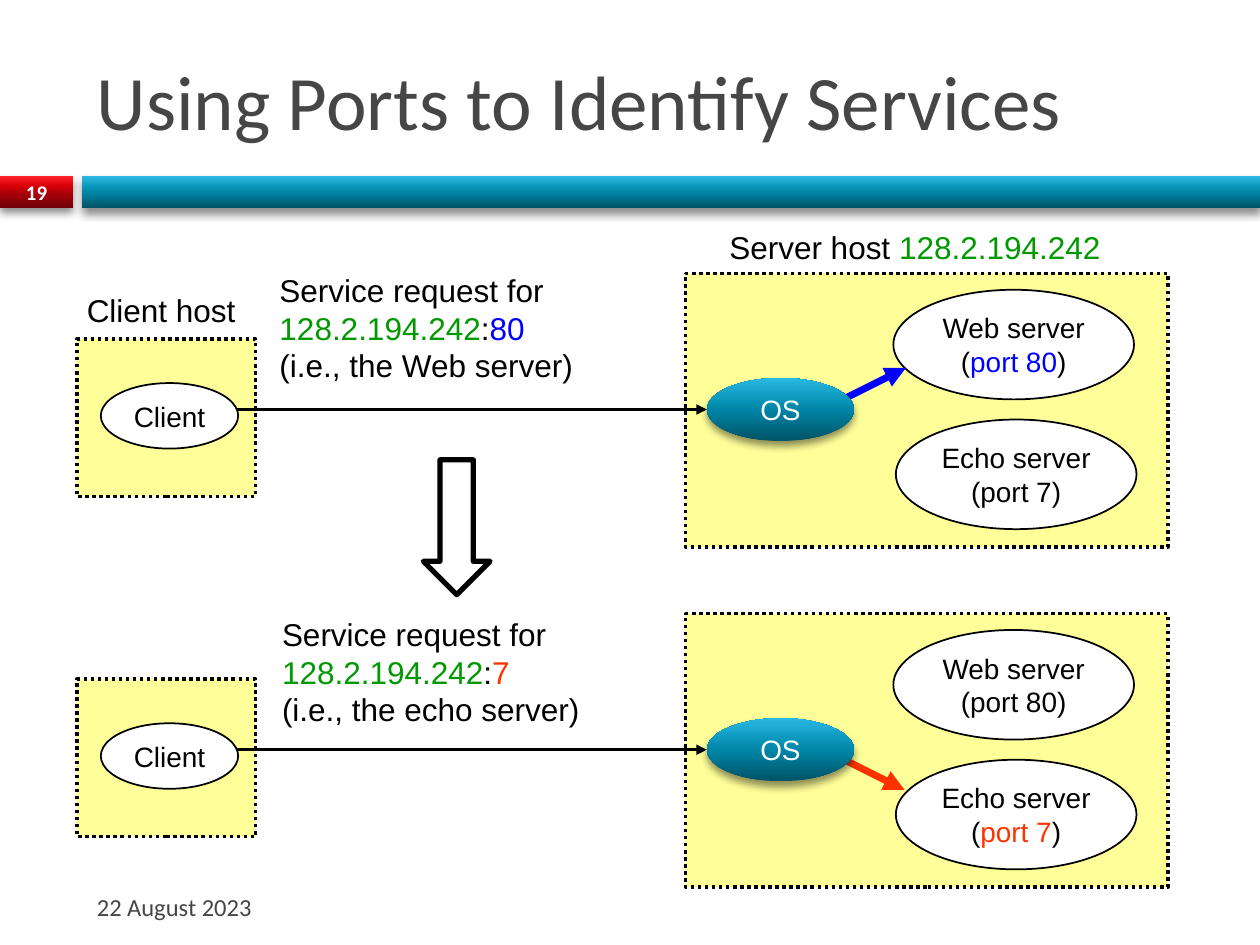
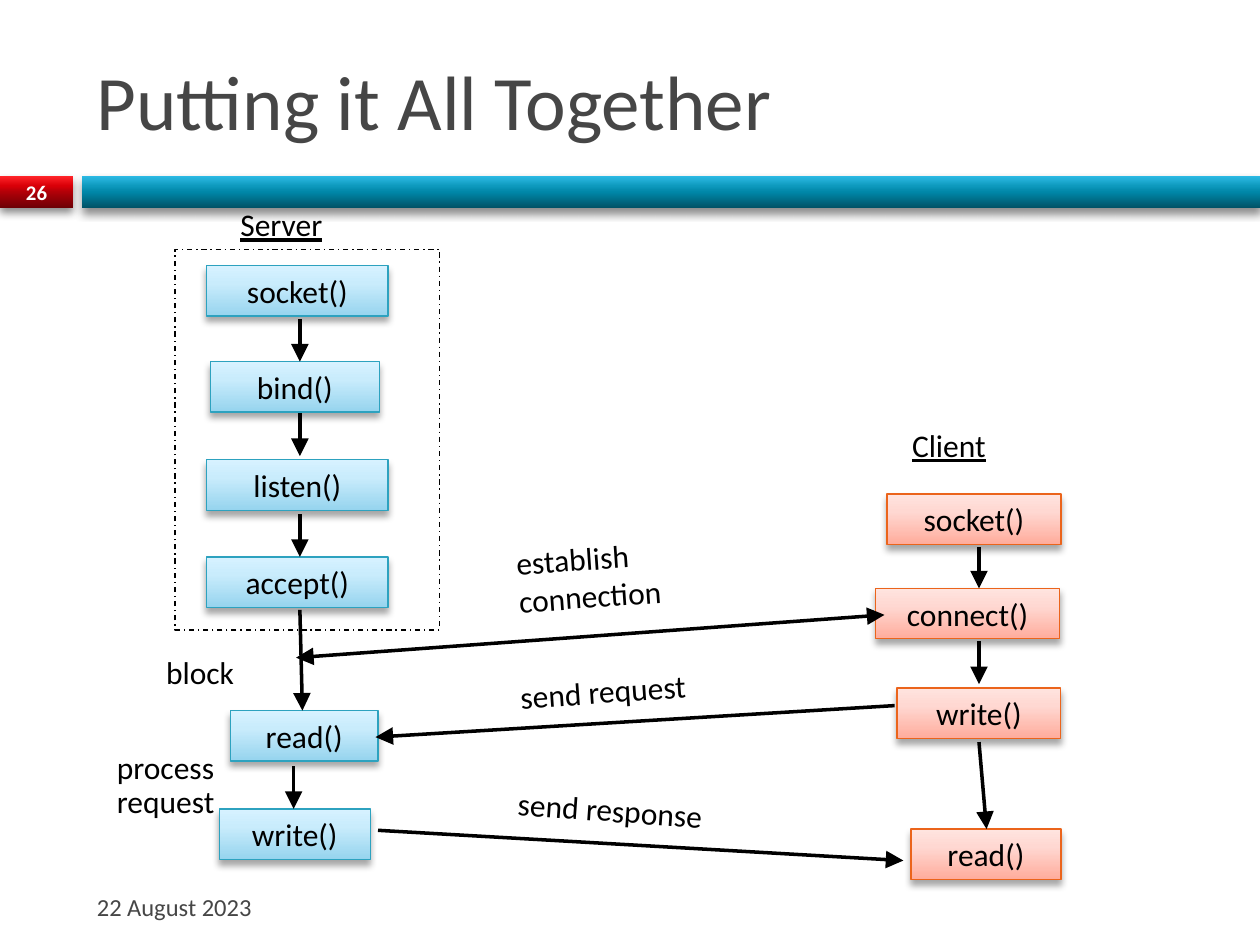
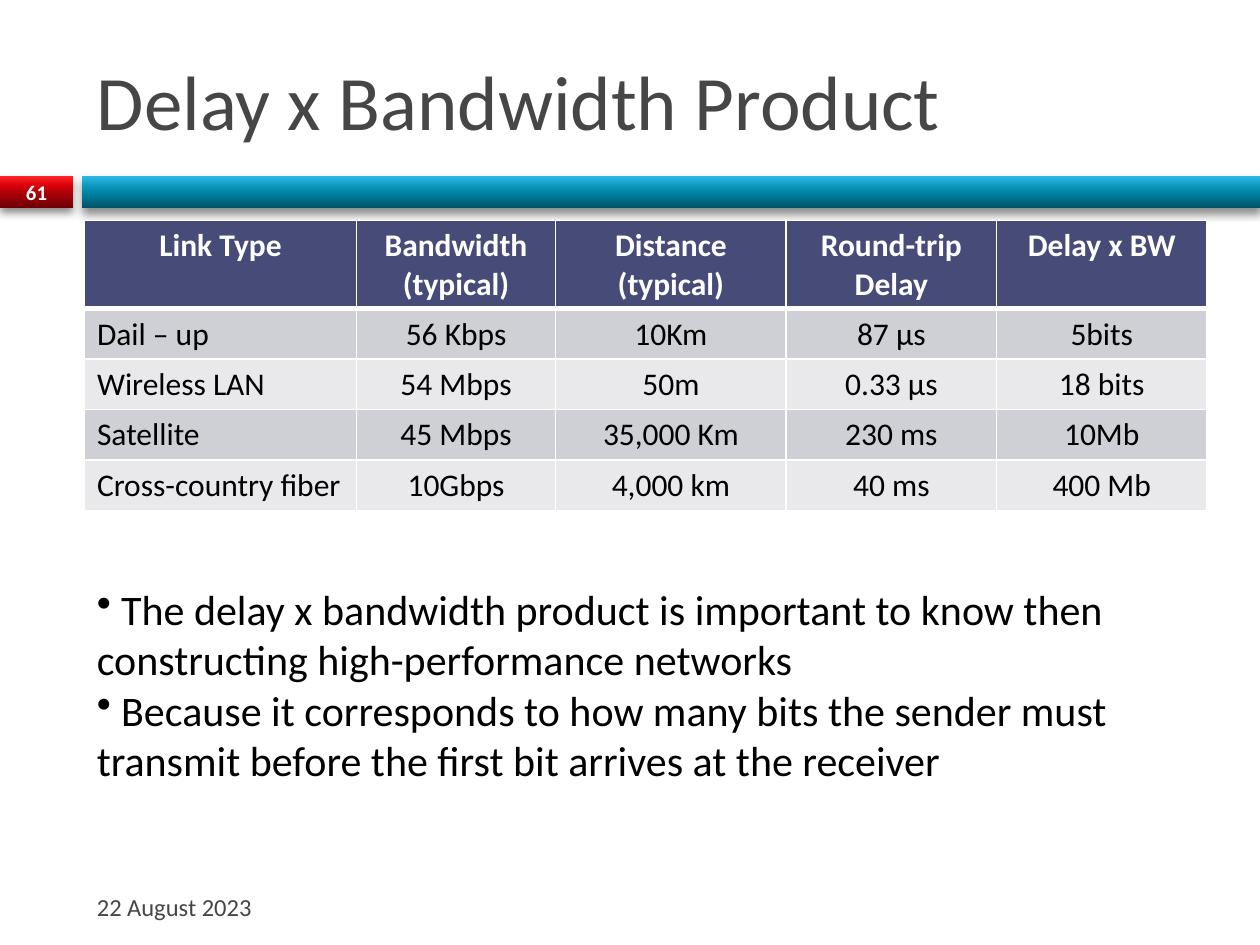
from dataclasses import dataclass
from lxml import etree
from pptx import Presentation
from pptx.dml.color import RGBColor
from pptx.enum.dml import MSO_LINE
from pptx.enum.shapes import MSO_CONNECTOR, MSO_SHAPE
from pptx.enum.text import MSO_ANCHOR, PP_ALIGN
from pptx.oxml.ns import qn
from pptx.util import Inches, Pt


@dataclass(frozen=True)
class Theme:
    sans: str = "Calibri"
    diagram: str = "Arial"
    title: int = 44
    bullet: int = 24
    body: int = 18
    node: int = 16
    footer: int = 14
    number: float = 11.9
    black: str = "000000"
    white: str = "FFFFFF"
    grey: str = "464646"
    host: str = "FFFF99"
    address: str = "009900"
    web: str = "0000FF"
    echo: str = "FF3300"
    header: str = "474B78"
    rows: tuple = ("CFD0D6", "E9E9EC")
    server_line: str = "2DA2BF"
    client_line: str = "EB641B"
    # Gradients: (position %, colour), from bottom to top
    red: tuple = ((0, "6D0005"), (50, "B00008"), (70, "DA0008"), (100, "FF2429"))
    teal: tuple = ((0, "005367"), (50, "0086A7"), (70, "0E9ABE"), (100, "2CB9E3"))
    server: tuple = ((0, "96D4EE"), (65, "C9ECFC"), (100, "D7F2FF"))
    client: tuple = ((0, "FFAC9C"), (65, "FFD8D2"), (100, "FFE4DF"))
    # Shadows: opacity %, blur pt, distance pt
    strong: tuple = (45, 5, 3)
    soft: tuple = (35, 4, 3)


T = Theme()


def box(s, at, paras=(), kind=None, fill=None, line=None, width=1, dash=None,
        shadow=None, size=T.body, font=T.sans, color=T.black,
        align=PP_ALIGN.LEFT, anchor=MSO_ANCHOR.TOP):
    """Add a shape, or a text box when no kind is given."""
    at = [Inches(v) for v in at]
    if kind is None:
        sp = s.shapes.add_textbox(*at)
    else:
        sp = s.shapes.add_shape(kind, *at)
        sp.shadow.inherit = False
        if isinstance(fill, tuple):
            sp.fill.gradient()
            sp.fill.gradient_angle = 90
            stops = sp.element.spPr.find(f".//{qn('a:gsLst')}")
            for gs in list(stops):
                stops.remove(gs)
            for pos, rgb in fill:
                gs = etree.SubElement(stops, qn("a:gs"), pos=str(pos * 1000))
                etree.SubElement(gs, qn("a:srgbClr"), val=rgb)
        elif fill:
            sp.fill.solid()
            sp.fill.fore_color.rgb = RGBColor.from_string(fill)
        else:
            sp.fill.background()
        if line:
            sp.line.color.rgb = RGBColor.from_string(line)
            sp.line.width = Pt(width)
            sp.line.dash_style = dash
        else:
            sp.line.fill.background()
        if shadow:
            alpha, blur, dist = shadow
            effects = sp.element.spPr.find(qn("a:effectLst"))
            outer = etree.SubElement(
                effects, qn("a:outerShdw"), blurRad=str(Pt(blur)),
                dist=str(Pt(dist)), dir="5400000", rotWithShape="0")
            rgb = etree.SubElement(outer, qn("a:srgbClr"), val=T.black)
            etree.SubElement(rgb, qn("a:alpha"), val=str(alpha * 1000))
    tf = sp.text_frame
    tf.word_wrap = kind != MSO_SHAPE.OVAL
    tf.vertical_anchor = anchor
    for i, para in enumerate(paras):
        p = tf.add_paragraph() if i else tf.paragraphs[0]
        p.alignment = align
        p.font.name, p.font.size = font, Pt(size)
        p.font.color.rgb = RGBColor.from_string(color)
        for text, rgb in [(para, None)] if isinstance(para, str) else para:
            r = p.add_run()
            r.text = text
            if rgb:
                r.font.color.rgb = RGBColor.from_string(rgb)
    return sp


def arrow(s, start, end, color=T.black, width=2, ends=("tailEnd",), head="med"):
    cn = s.shapes.add_connector(
        MSO_CONNECTOR.STRAIGHT, *[Inches(v) for v in (*start, *end)])
    cn.line.color.rgb = RGBColor.from_string(color)
    cn.line.width = Pt(width)
    ln = cn.line._get_or_add_ln()
    for tag in ends:
        etree.SubElement(ln, qn(f"a:{tag}"), type="triangle", w=head, len=head)
    etree.SubElement(cn._element.spPr, qn("a:effectLst"))


prs = Presentation()
prs.slide_width, prs.slide_height = Inches(10), Inches(7.5)
middle = {"anchor": MSO_ANCHOR.MIDDLE}
centred = {"align": PP_ALIGN.CENTER, **middle}

# Shared frame: bands, title, date and slide number
slides = []
for title, number in [("Using Ports to Identify Services", "19"),
                      ("Putting it All Together", "26"),
                      ("Delay x Bandwidth Product", "61")]:
    s = prs.slides.add_slide(prs.slide_layouts[6])
    for left, width, fill in [(0, 0.58, T.red), (0.65, 9.35, T.teal)]:
        box(s, (left, 1.4, width, 0.25), kind=MSO_SHAPE.RECTANGLE, fill=fill,
            shadow=T.strong)
    box(s, (0.67, 0.25, 8.92, 1.08), [title], size=T.title, color=T.grey, **middle)
    box(s, (0.67, 7, 2.92, 0.4), ["22 August 2023"], size=T.footer,
        color=T.grey, **middle)
    sp = box(s, (0, 1.39, 0.58, 0.27), [number], size=T.number, color=T.white,
             **centred)
    sp.text_frame.paragraphs[0].font.bold = True
    slides.append(s)
ports_slide, calls_slide, delay_slide = slides

# Slide 1: the same hosts twice, one request each
s = ports_slide
ip = "128.2.194.242"
box(s, (0.59, 2.26, 1.49, 0.4), ["Client host"], font=T.diagram)
box(s, (5.69, 1.76, 3.24, 0.4), [[("Server host ", None), (ip, T.address)]],
    font=T.diagram)
box(s, (3.36, 3.65, 0.53, 1.07), kind=MSO_SHAPE.DOWN_ARROW, line=T.black, width=3)

servers = [("Web server", "80", 7.09, 2.3), ("Echo server", "7", 7.11, 3.33)]
requests = [
    (0, "80", T.web, "(i.e., the Web server)", (2.12, 2.1), (6.69, 3.17), (7.19, 2.92)),
    (2.7, "7", T.echo, "(i.e., the echo server)", (2.14, 4.83), (6.68, 6.02), (7.18, 6.27)),
]
node = {"kind": MSO_SHAPE.OVAL, "size": T.node, "font": T.diagram, **centred}
for dy, port, color, meaning, label_at, start, end in requests:
    for at in [(0.61, 2.69 + dy, 1.42, 1.25), (5.44, 2.17 + dy, 3.83, 2.17)]:
        box(s, at, kind=MSO_SHAPE.RECTANGLE, fill=T.host, line=T.black, width=2,
            dash=MSO_LINE.ROUND_DOT)
    for name, own_port, x, y in servers:
        rgb = color if own_port == port else T.black
        box(s, (x, y + dy, 1.91, 0.87),
            [name, [("(", None), (f"port {own_port}", rgb), (")", None)]],
            fill=T.white, line=T.black, **node)
    box(s, (*label_at, 3.2, 1.1),
        ["Service request for",
         [(ip, T.address), (":", None), (port, color)], meaning],
        font=T.diagram)
    arrow(s, (1.86, 3.25 + dy), (5.61, 3.25 + dy))
    arrow(s, start, end, color, 4)
    box(s, (5.61, 3 + dy, 1.17, 0.5), ["OS"], fill=T.teal, shadow=T.strong,
        color=T.white, **node)
    box(s, (0.8, 3.04 + dy, 1.09, 0.52), ["Client"], fill=T.white, line=T.black,
        **node)

# Slide 2: call sequences of server and client
s = calls_slide
server_calls = [("socket()", 1.64, 2.11, 1.44), ("bind()", 1.67, 2.87, 1.34),
                ("listen()", 1.64, 3.65, 1.44), ("accept()", 1.64, 4.42, 1.44),
                ("read()", 1.83, 5.64, 1.17), ("write()", 1.74, 6.42, 1.2)]
client_calls = [("socket()", 7.04, 3.92, 1.38), ("connect()", 6.95, 4.67, 1.46),
                ("write()", 7.12, 5.46, 1.3), ("read()", 7.23, 6.58, 1.19)]
for calls, fill, line in [(server_calls, T.server, T.server_line),
                          (client_calls, T.client, T.client_line)]:
    for name, x, y, width in calls:
        box(s, (x, y, width, 0.4), [name], kind=MSO_SHAPE.RECTANGLE, fill=fill,
            line=line, width=0.75, shadow=T.soft, align=PP_ALIGN.CENTER)
box(s, (1.39, 1.98, 2.1, 3.02), kind=MSO_SHAPE.RECTANGLE, line=T.black,
    width=0.75, dash=MSO_LINE.DASH_DOT)

# Steps down each column
for x1, y1, x2, y2 in [(2.38, 2.53, 2.38, 2.87), (2.38, 3.28, 2.38, 3.62),
                       (2.38, 4.08, 2.38, 4.42), (2.38, 4.84, 2.4, 5.64),
                       (2.33, 6.08, 2.33, 6.42), (7.77, 4.34, 7.77, 4.67),
                       (7.77, 5.09, 7.77, 5.43), (7.77, 5.89, 7.83, 6.58)]:
    arrow(s, (x1, y1), (x2, y2), head="lg")

# Messages between the columns
arrow(s, (7.02, 4.88), (2.35, 5.22), ends=("headEnd", "tailEnd"), head="lg")
arrow(s, (7.1, 5.6), (2.98, 5.85), head="lg")
arrow(s, (3, 6.59), (7.17, 6.83), head="lg")
for at, paras, angle in [
        ((4.01, 4.21, 1.87, 0.77), ["establish", "connection"], 356),
        ((4.03, 5.26, 2.2, 0.43), ["send request"], 356),
        ((4.01, 6.25, 2.37, 0.43), ["send response"], 4.1)]:
    box(s, at, paras).rotation = angle

# Column headings and side notes
for name, x, y in [("Server", 1.81, 1.58), ("Client", 7.14, 3.33)]:
    sp = box(s, (x, y, 1.2, 0.43), [name])
    sp.text_frame.paragraphs[0].font.underline = True
box(s, (1.22, 5.13, 1.03, 0.43), ["block"])
sp = box(s, (0.83, 5.92, 1.37, 0.7), ["process", "request"])
for p in sp.text_frame.paragraphs:
    p.line_spacing = 0.9

# Slide 3: table of links
s = delay_slide
links = [
    ("Link Type", "Bandwidth (typical)", "Distance (typical)", "Round-trip Delay", "Delay x BW"),
    ("Dail – up", "56 Kbps", "10Km", "87 µs", "5bits"),
    ("Wireless LAN", "54 Mbps", "50m", "0.33 µs", "18 bits"),
    ("Satellite", "45 Mbps", "35,000 Km", "230 ms", "10Mb"),
    ("Cross-country fiber", "10Gbps", "4,000 km", "40 ms", "400 Mb"),
]
widths = (2.16, 1.58, 1.83, 1.67, 1.67)
table = s.shapes.add_table(len(links), len(widths), Inches(0.67), Inches(1.75),
                           Inches(8.92), Inches(2.3)).table
for column, width in zip(table.columns, widths):
    column.width = Inches(width)
for i, row in enumerate(links):
    table.rows[i].height = Inches(0.4 if i else 0.7)
    for j, text in enumerate(row):
        cell = table.cell(i, j)
        cell.text = text
        p = cell.text_frame.paragraphs[0]
        p.alignment = PP_ALIGN.LEFT if i and not j else PP_ALIGN.CENTER
        p.font.name, p.font.size, p.font.bold = T.sans, Pt(T.body), i == 0
        p.font.color.rgb = RGBColor.from_string(T.black if i else T.white)
        tcPr = cell._tc.get_or_add_tcPr()
        for side in "LRTB":
            thick = (i, side) in [(0, "B"), (1, "T")]
            ln = etree.SubElement(tcPr, qn(f"a:ln{side}"), w=str(Pt(3 if thick else 1)))
            etree.SubElement(etree.SubElement(ln, qn("a:solidFill")),
                             qn("a:srgbClr"), val=T.white)
        cell.fill.solid()
        cell.fill.fore_color.rgb = RGBColor.from_string(
            T.rows[(i - 1) % 2] if i else T.header)

# Bullets below the table
sp = box(s, (0.67, 4.58, 8.83, 1.72), [
    " The delay x bandwidth product is important to know then constructing "
    "high-performance networks",
    " Because it corresponds to how many bits the sender must transmit before "
    "the first bit arrives at the receiver"], size=T.bullet)
for p in sp.text_frame.paragraphs:
    pPr = p._p.get_or_add_pPr()
    bullet = etree.Element(qn("a:buChar"), char="•")
    pPr.find(qn("a:defRPr")).addprevious(bullet)

prs.save("out.pptx")
